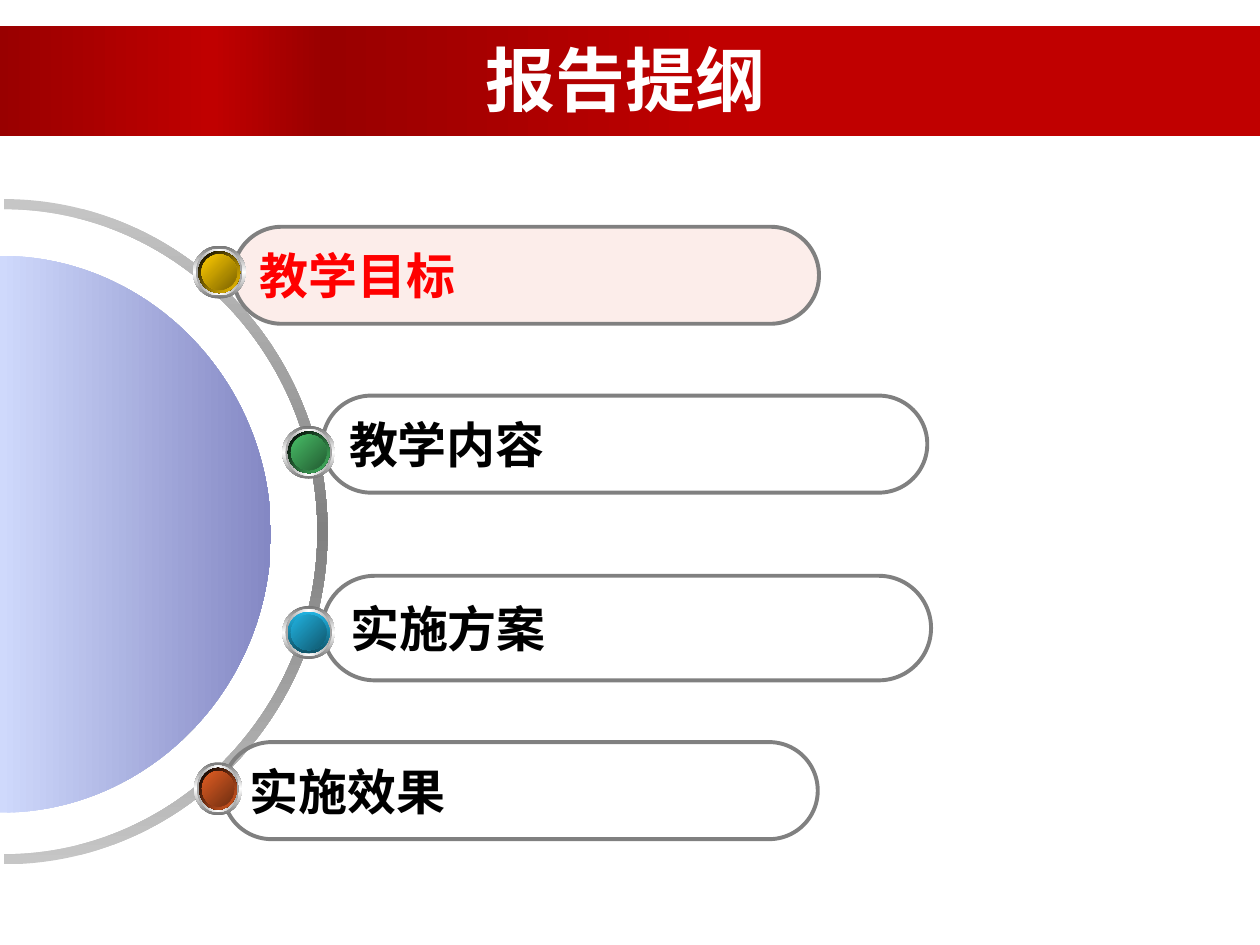
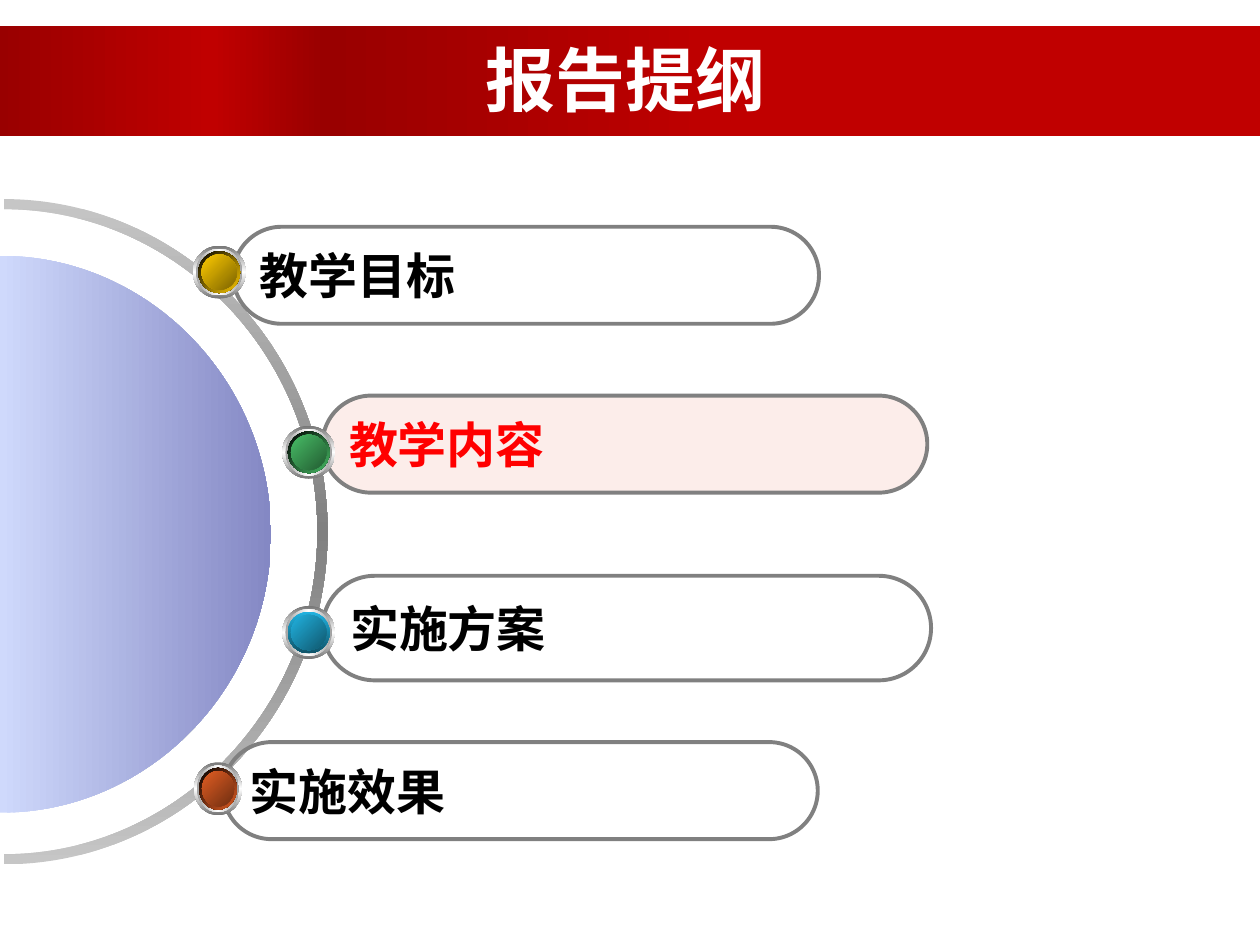
"""Build two outline slides, each highlighting one section of the report."""
from dataclasses import dataclass

from lxml.etree import SubElement
from pptx import Presentation
from pptx.dml.color import RGBColor
from pptx.enum.shapes import MSO_SHAPE
from pptx.enum.text import MSO_ANCHOR, PP_ALIGN
from pptx.oxml.ns import qn
from pptx.util import Inches, Pt

CJK_FONT = "Noto Sans CJK SC"
LATIN_FONT = "Times New Roman"
WHITE, BLACK, RED = "FFFFFF", "000000", "FF0000"
HIGHLIGHT, OUTLINE = "FCEDEA", "808080"
BAND_STOPS = [(0, "C00000"), (15, "C00000"), (42, "C00000"),
              (74, "990000"), (83, "C00000"), (100, "990000")]
RING_STOPS = [(0, "C6C6C6"), (50, "808080"), (100, "C6C6C6")]
DISC_STOPS = [(0, "CFD9FC"), (100, "8488C4")]
BEZEL_STOPS = [(0, "767676"), (50, WHITE), (100, "767676")]
COLLAR_STOPS = [(0, "A2A2A2"), (50, WHITE), (100, "A2A2A2")]
ARC_PULL = 0.55


@dataclass
class Section:
    """One outline entry: its pill, its bullet and the bullet's colours."""
    label: str
    pill: tuple
    bullet: tuple
    rim: tuple
    rim_angle: int
    face: tuple


SECTIONS = [
    Section("教学目标", (1.85, 1.8, 4.65, 0.77), (1.53, 1.95, 0.42, 0.42),
            (BLACK, "FFCC00"), 45, ("FFCC00", "7C6300")),
    Section("教学内容", (2.56, 3.14, 4.8, 0.77), (2.24, 3.38, 0.42, 0.42),
            (BLACK, "48BE67"), 45, ("48BE67", "235C32")),
    Section("实施方案", (2.56, 4.57, 4.83, 0.83), (2.24, 4.81, 0.42, 0.42),
            ("21B3E1", "0F5368"), 90, ("21B3E1", "10576D")),
    Section("实施效果", (1.77, 5.89, 4.72, 0.77), (1.54, 6.05, 0.38, 0.42),
            (BLACK, "E35E23"), 45, ("E35E23", "6E2E11")),
]


def colour(value):
    """Return the colour for a hex string."""
    return RGBColor.from_string(value)


def paint_gradient(shape, stops, angle):
    """Fill a borderless shape with stops along a clockwise angle."""
    shape.shadow.inherit = False
    shape.line.fill.background()
    shape.fill.gradient()
    shape.fill.gradient_angle = (360 - angle) % 360
    stop_list = shape.element.spPr.find(qn("a:gradFill")).find(qn("a:gsLst"))
    for stop in list(stop_list):
        stop_list.remove(stop)
    for position, value in stops:
        stop = SubElement(stop_list, qn("a:gs"), pos=str(position * 1000))
        SubElement(stop, qn("a:srgbClr"), val=value)


def add_preset(shapes, kind, place):
    """Add a preset shape at left, top, width, height in inches."""
    return shapes.add_shape(kind, *[Inches(length) for length in place])


def write_text(box, text, size, font, value, align):
    """Write one bold, vertically centred line into a box."""
    frame = box.text_frame
    frame.vertical_anchor = MSO_ANCHOR.MIDDLE
    para = frame.paragraphs[0]
    para.alignment = align
    span = para.add_run()
    span.text = text
    span.font.size = Pt(size)
    span.font.bold = True
    span.font.name = font
    span.font.color.rgb = colour(value)
    SubElement(span.font._element, qn("a:ea"), typeface=CJK_FONT)


def add_title_band(page, title):
    """Add the red band and the slide title on it."""
    band = add_preset(page.shapes, MSO_SHAPE.RECTANGLE, (-0.02, 0.21, 10.02, 0.87))
    paint_gradient(band, BAND_STOPS, 180)
    box = page.shapes.add_textbox(Inches(0.8), Inches(0.21), Inches(8.33), Inches(0.83))
    box.text_frame.word_wrap = True
    box.text_frame.margin_top = box.text_frame.margin_bottom = 0
    write_text(box, title, 40, CJK_FONT, WHITE, PP_ALIGN.CENTER)


def half_ellipse(centre_x, centre_y, radius_x, radius_y):
    """Return the top, right and bottom points of an ellipse."""
    return [(Inches(centre_x), Inches(centre_y - radius_y)),
            (Inches(centre_x + radius_x), Inches(centre_y)),
            (Inches(centre_x), Inches(centre_y + radius_y))]


def bend_segment(segment, start, from_pole):
    """Turn a line segment into a quarter ellipse and return its end."""
    point = segment[0]
    end = int(point.get("x")), int(point.get("y"))
    near, far = [[round(a + (b - a) * pull) for a, b in zip(start, end)]
                 for pull in (ARC_PULL, 1 - ARC_PULL)]
    if from_pole:
        controls = [(near[0], start[1]), (end[0], far[1])]
    else:
        controls = [(start[0], near[1]), (far[0], end[1])]
    segment.tag = qn("a:cubicBezTo")
    segment.remove(point)
    for x, y in controls + [end]:
        SubElement(segment, qn("a:pt"), x=str(x), y=str(y))
    return end


def add_curved_outline(page, arcs, stops, angle):
    """Add a closed outline made of half ellipses joined by straight lines."""
    points = [point for arc in arcs for point in arc]
    builder = page.shapes.build_freeform(*points[0])
    builder.add_line_segments(points[1:], close=True)
    shape = builder.convert_to_shape()
    first = next(shape.element.iter(qn("a:moveTo")))[0]
    start = int(first.get("x")), int(first.get("y"))
    for number, segment in enumerate(list(shape.element.iter(qn("a:lnTo"))), 1):
        if number >= len(points):
            break
        if number % 3:
            start = bend_segment(segment, start, number % 3 == 1)
        else:
            start = int(segment[0].get("x")), int(segment[0].get("y"))
    paint_gradient(shape, stops, angle)


def add_dial(page):
    """Add the grey half ring and the blue half disc inside it."""
    outer = half_ellipse(0.03, 4.22, 2.57, 2.64)
    inner = half_ellipse(0.03, 4.22, 2.49, 2.56)
    add_curved_outline(page, [outer, inner[::-1]], RING_STOPS, 90)
    add_curved_outline(page, [half_ellipse(0, 4.24, 2.15, 2.21)], DISC_STOPS, 0)


def add_pill(page, section, active):
    """Add a section's rounded label, highlighted when active."""
    pill = add_preset(page.shapes, MSO_SHAPE.ROUNDED_RECTANGLE, section.pill)
    pill.adjustments[0] = 0.5
    pill.shadow.inherit = False
    pill.line.color.rgb = colour(OUTLINE)
    pill.line.width = Pt(2.25)
    if active:
        pill.fill.solid()
        pill.fill.fore_color.rgb = colour(HIGHLIGHT)
    else:
        pill.fill.background()
    pill.text_frame.word_wrap = False
    write_text(pill, section.label, 28, LATIN_FONT, RED if active else BLACK, PP_ALIGN.LEFT)


def add_bullet(page, section):
    """Add a section's button as a group of concentric ellipses."""
    group = page.shapes.add_group_shape()
    left, top, width, height = section.bullet
    layers = [
        (1, BEZEL_STOPS, 90),
        (0.88, COLLAR_STOPS, 0),
        (0.79, list(zip((0, 100), section.rim)), section.rim_angle),
        (0.67, list(zip((0, 100), section.face)), 45),
    ]
    for scale, stops, angle in layers:
        margin = (1 - scale) / 2
        place = (left + width * margin, top + height * margin, width * scale, height * scale)
        paint_gradient(add_preset(group.shapes, MSO_SHAPE.OVAL, place), stops, angle)


def add_outline_page(deck, current):
    """Add an outline slide that highlights the current section."""
    page = deck.slides.add_slide(deck.slide_layouts[6])
    add_title_band(page, "报告提纲")
    add_dial(page)
    for section in reversed(SECTIONS):
        add_pill(page, section, section is current)
    for section in SECTIONS:
        add_bullet(page, section)


def main():
    """Build and save the deck."""
    deck = Presentation()
    deck.slide_width, deck.slide_height = Inches(10), Inches(7.5)
    for current in SECTIONS[:2]:
        add_outline_page(deck, current)
    deck.save("out.pptx")


if __name__ == "__main__":
    main()
